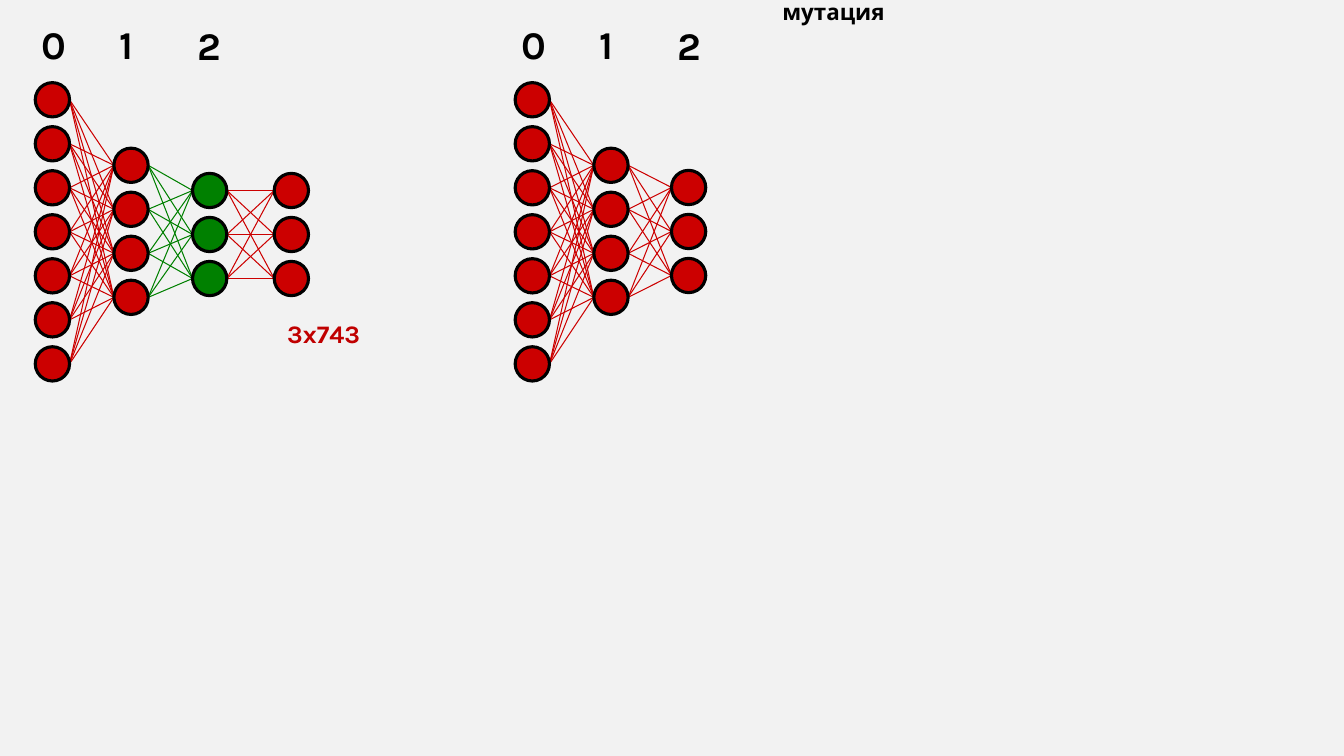
from dataclasses import dataclass
from itertools import pairwise, product

from pptx import Presentation
from pptx.dml.color import RGBColor
from pptx.enum.shapes import MSO_CONNECTOR as Connector, MSO_SHAPE as Shape
from pptx.enum.text import MSO_ANCHOR as Anchor, MSO_AUTO_SIZE as AutoSize, PP_ALIGN as Align
from pptx.oxml.ns import qn
from pptx.slide import Slide
from pptx.text.text import TextFrame
from pptx.util import Inches, Pt
from lxml.etree import SubElement

COLORS = {
    "background": "F2F2F2",
    "text": "000000",
    "outline": "000000",
    "red": "CC0000",
    "green": "008000",
    "size": "C00000",
}
FONT = "Karla"
DIAMETER = 0.34
PITCH = 2.62 / 6


@dataclass(frozen=True)
class Layer:
    left: float
    top: float
    count: int
    color: str = "red"

    def node_tops(self) -> list[float]:
        return [self.top + index * PITCH for index in range(self.count)]


@dataclass(frozen=True)
class Network:
    left: float
    layers: tuple[Layer, ...]


@dataclass(frozen=True)
class Label:
    text: str
    left: float
    top: float
    width: float
    height: float
    size: int
    color: str = "text"
    wrap: bool = True


INPUT = Layer(0, 0.82, 7)
HIDDEN = Layer(0.78, 1.47, 4)
NETWORKS = (
    Network(5.11, (INPUT, HIDDEN, Layer(1.55, 1.69, 3))),
    Network(0.35, (INPUT, HIDDEN, Layer(1.56, 1.72, 3, "green"), Layer(2.37, 1.72, 3))),
)
LAYER_NUMBERS = (("0", -0.04, 0.15), ("1", 0.74, 0.15), ("2", 1.51, 0.16))
TITLE = Label("мутация", 7.66, -0.07, 6.07, 0.37, 16)
SIZE = Label("3x743", 2.75, 3.11, 1.02, 0.4, 18, "size")


def rgb(name: str) -> RGBColor:
    return RGBColor.from_string(COLORS[name])


def write(frame: TextFrame, label: Label) -> None:
    frame.text = label.text
    frame.word_wrap = label.wrap
    frame.auto_size = AutoSize.SHAPE_TO_FIT_TEXT
    frame.vertical_anchor = Anchor.TOP
    paragraph = frame.paragraphs[0]
    paragraph.alignment = Align.LEFT
    paragraph.font.name = FONT
    paragraph.font.size = Pt(label.size)
    paragraph.font.bold = True
    paragraph.font.color.rgb = rgb(label.color)


def add_label(slide: Slide, label: Label) -> None:
    box = slide.shapes.add_textbox(
        Inches(label.left), Inches(label.top), Inches(label.width), Inches(label.height)
    )
    write(box.text_frame, label)


def set_title(slide: Slide, label: Label) -> None:
    title = slide.shapes.title
    title.left, title.top = Inches(label.left), Inches(label.top)
    title.width, title.height = Inches(label.width), Inches(label.height)
    write(title.text_frame, label)


def connect_layers(slide: Slide, origin: float, source: Layer, target: Layer) -> None:
    color = "green" if target.color == "green" else "red"
    start = Inches(origin + source.left + DIAMETER)
    end = Inches(origin + target.left)
    radius = DIAMETER / 2
    for source_top, target_top in product(source.node_tops(), target.node_tops()):
        connector = slide.shapes.add_connector(
            Connector.STRAIGHT, start, Inches(source_top + radius), end, Inches(target_top + radius)
        )
        connector.line.color.rgb = rgb(color)
        connector.line.width = Pt(0.75)
        SubElement(connector.element.spPr, qn("a:effectLst"))


def add_layer(slide: Slide, origin: float, layer: Layer) -> None:
    group = slide.shapes.add_group_shape()
    for top in layer.node_tops():
        node = group.shapes.add_shape(
            Shape.OVAL, Inches(origin + layer.left), Inches(top), Inches(DIAMETER), Inches(DIAMETER)
        )
        node.shadow.inherit = False
        node.fill.solid()
        node.fill.fore_color.rgb = rgb(layer.color)
        node.line.color.rgb = rgb("outline")
        node.line.width = Pt(2.25)


def add_network(slide: Slide, network: Network) -> None:
    for text, offset, top in LAYER_NUMBERS:
        add_label(slide, Label(text, network.left + offset, top, 0.43, 0.57, 28, wrap=False))
    for source, target in pairwise(network.layers):
        connect_layers(slide, network.left, source, target)
    for layer in network.layers:
        add_layer(slide, network.left, layer)


def main() -> None:
    presentation = Presentation()
    presentation.slide_width = Inches(13.33)
    presentation.slide_height = Inches(7.5)
    slide = presentation.slides.add_slide(presentation.slide_layouts[5])
    slide.background.fill.solid()
    slide.background.fill.fore_color.rgb = rgb("background")
    set_title(slide, TITLE)
    for network in NETWORKS:
        add_network(slide, network)
    add_label(slide, SIZE)
    presentation.save("out.pptx")


if __name__ == "__main__":
    main()
